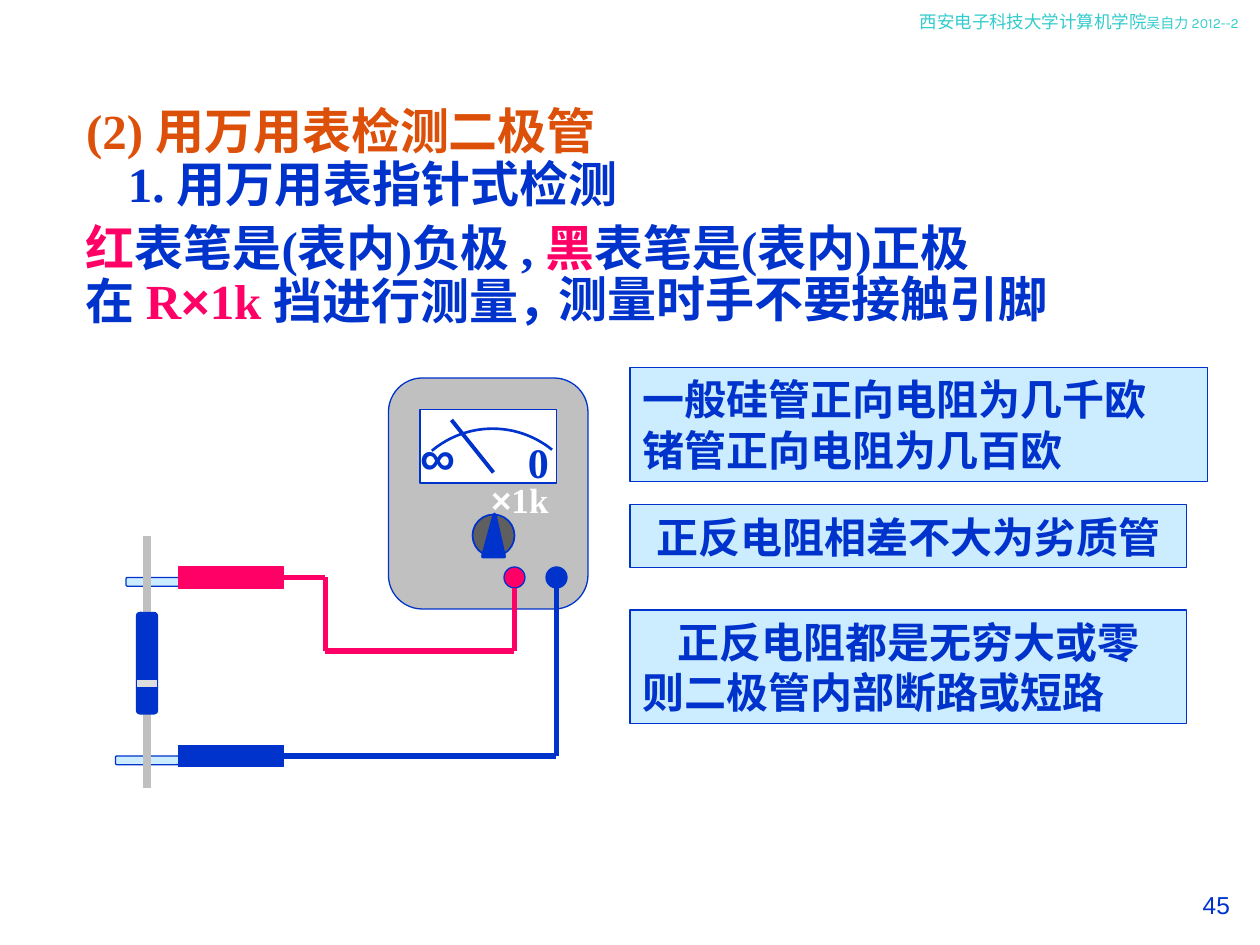
from dataclasses import dataclass

from pptx import Presentation
from pptx.dml.color import RGBColor
from pptx.enum.shapes import MSO_CONNECTOR, MSO_SHAPE
from pptx.enum.text import MSO_ANCHOR, MSO_AUTO_SIZE, PP_ALIGN
from pptx.oxml.xmlchemy import OxmlElement
from pptx.slide import Slide
from pptx.util import Pt

BLUE, PINK, ORANGE, TEAL = "0033CC", "FF0066", "DD5009", "33CCCC"
GRAY, DARK_GRAY, BAND_GRAY = "C0C0C0", "5F5F5F", "DDDDDD"
PALE, WHITE = "CCECFF", "FFFFFF"
SERIF, SANS, HEADER_FONT = "Times New Roman", "Arial", "Karla"


def rgb(value):
    """Return the colour for a hex string."""
    return RGBColor.from_string(value)


@dataclass
class Board:
    """Hold the style and the current slide, and draw elements on it."""

    slide: Slide
    font: str = SERIF
    color: str = BLUE
    size: float = 28
    bold: bool = True

    def fill_text(self, frame, paragraphs, align=(), wrap=True, **style):
        """Fill a text frame with paragraphs made of (text, overrides) runs."""
        frame.word_wrap = wrap
        frame.auto_size = MSO_AUTO_SIZE.NONE
        frame.vertical_anchor = MSO_ANCHOR.TOP
        for index, runs in enumerate(paragraphs):
            paragraph = frame.paragraphs[0] if index == 0 else frame.add_paragraph()
            paragraph.alignment = align[index] if align else PP_ALIGN.LEFT
            for text, overrides in runs:
                look = {**style, **overrides}
                run = paragraph.add_run()
                run.text = text
                run.font.name = look.get("font", self.font)
                run.font.size = Pt(look.get("size", self.size))
                run.font.bold = look.get("bold", self.bold)
                run.font.color.rgb = rgb(look.get("color", self.color))

    def title(self, place, text, **style):
        """Place and fill the title placeholder."""
        heading = self.slide.shapes.title
        heading.left, heading.top, heading.width, heading.height = map(Pt, place)
        self.fill_text(heading.text_frame, [[(text, {})]], **style)

    def text(self, place, runs, **style):
        """Add a text box of one paragraph."""
        box = self.slide.shapes.add_textbox(*map(Pt, place))
        self.fill_text(box.text_frame, [runs], **style)

    def shape(self, kind, place, fill, line=BLUE, weight=0.75, adjust=()):
        """Add a preset shape, unfilled when fill is None."""
        shape = self.slide.shapes.add_shape(kind, *map(Pt, place))
        shape.shadow.inherit = False
        for index, value in enumerate(adjust):
            shape.adjustments[index] = value
        if fill:
            shape.fill.solid()
            shape.fill.fore_color.rgb = rgb(fill)
        else:
            shape.fill.background()
        shape.line.color.rgb = rgb(line)
        shape.line.width = Pt(weight)
        return shape

    def note(self, place, lines, align):
        """Add a pale box with one paragraph for each line."""
        box = self.shape(MSO_SHAPE.RECTANGLE, place, PALE)
        self.fill_text(box.text_frame, [[(line, {})] for line in lines], align, size=24)

    def wire(self, points, color, weight=3):
        """Join points with straight connectors."""
        for start, end in zip(points, points[1:]):
            segment = self.slide.shapes.add_connector(
                MSO_CONNECTOR.STRAIGHT, *map(Pt, start + end))
            segment.line.color.rgb = rgb(color)
            segment.line.width = Pt(weight)
            segment._element.spPr.append(OxmlElement("a:effectLst"))

    def probe(self, tip_left, top, color):
        """Add a test probe: a pale tip and a coloured handle."""
        self.shape(MSO_SHAPE.ROUNDED_RECTANGLE, (tip_left, top + 6, 48, 5), PALE)
        self.shape(MSO_SHAPE.RECTANGLE, (102, top, 60, 12), color, color)


def draw_texts(board):
    """Add the header, title, statements and page number."""
    board.text((518.5, 3, 201.5, 26),
               [("西安电子科技大学计算机学院", {}), ("吴自力 2012--2", {"size": 8})],
               font=HEADER_FONT, color=TEAL, size=10, bold=False)
    board.title((42, 54, 318, 41), "(2) 用万用表检测二极管", color=ORANGE)
    board.text((66, 84, 420, 41), [("1. 用万用表指针式检测", {})])
    pink = {"color": PINK}
    board.text((42, 121, 594, 41),
               [("红", pink), ("表笔是(表内)负极 , ", {}),
                ("黑", pink), ("表笔是(表内)正极", {})])
    board.text((42, 151, 330, 41),
               [("在 ", {}), ("R", pink), ("×", {"color": PINK, "font": SANS}),
                ("1k ", pink), ("挡进行测量，", {})])
    board.text((312, 150, 342, 41), [("测量时手不要接触引脚", {})])
    board.text((530, 505, 180, 35), [("45", {})], align=[PP_ALIGN.RIGHT],
               font=SANS, size=14, bold=False)


def draw_meter(board):
    """Draw the multimeter with its dial, sockets and scale."""
    board.shape(MSO_SHAPE.ROUNDED_RECTANGLE, (222, 216, 114, 132), GRAY, adjust=[0.17])
    board.shape(MSO_SHAPE.OVAL, (270, 294, 24, 24), DARK_GRAY, weight=1)
    for left, color in ((288, PINK), (312, BLUE)):
        board.shape(MSO_SHAPE.OVAL, (left, 324, 12, 12), color)
    board.shape(MSO_SHAPE.ISOSCELES_TRIANGLE, (276, 294, 12, 24), BLUE,
                weight=2.25, adjust=[0.55])
    board.text((273.5, 270, 51, 32), [("×", {"font": SANS}), ("1k", {})],
               wrap=False, size=20, color=WHITE)
    board.shape(MSO_SHAPE.RECTANGLE, (240, 234, 78, 42), WHITE)
    degree = 0.6
    board.shape(MSO_SHAPE.ARC, (227.5, 245, 108, 108), None, weight=1.5,
                adjust=[230 * degree, 309 * degree])
    board.wire([(258, 240), (282, 270)], BLUE, 2.25)
    board.text((233, 240, 35, 41), [("∞", {})], wrap=False, font=SANS)
    board.text((294.5, 246, 26, 36), [("0", {})], wrap=False, size=24)


def draw_circuit(board):
    """Draw the wires, the probes and the diode under test."""
    board.wire([(138, 330), (186, 330), (186, 372), (294, 372), (294, 336)], PINK)
    board.wire([(150, 432), (318, 432), (318, 336)], BLUE)
    board.probe(72, 324, PINK)
    board.probe(66, 426, BLUE)
    board.wire([(84, 306), (84, 450)], GRAY, 4.5)
    board.shape(MSO_SHAPE.ROUNDED_RECTANGLE, (78, 350, 12, 58), BLUE)
    board.shape(MSO_SHAPE.RECTANGLE, (78, 388, 12, 5), BAND_GRAY)


def draw_notes(board):
    """Add the three boxes that explain the readings."""
    left, center = PP_ALIGN.LEFT, PP_ALIGN.CENTER
    board.note((360, 210, 330, 65),
               ["一般硅管正向电阻为几千欧", "锗管正向电阻为几百欧"], [left, left])
    board.note((360, 288.5, 318, 36), ["正反电阻相差不大为劣质管"], [center])
    board.note((360, 348.5, 318, 65),
               ["正反电阻都是无穷大或零", "则二极管内部断路或短路"], [center, left])


def main():
    """Build the slide and save it."""
    deck = Presentation()
    deck.slide_width, deck.slide_height = Pt(720), Pt(540)
    board = Board(deck.slides.add_slide(deck.slide_layouts[5]))
    draw_texts(board)
    draw_meter(board)
    draw_circuit(board)
    draw_notes(board)
    deck.save("out.pptx")


if __name__ == "__main__":
    main()
